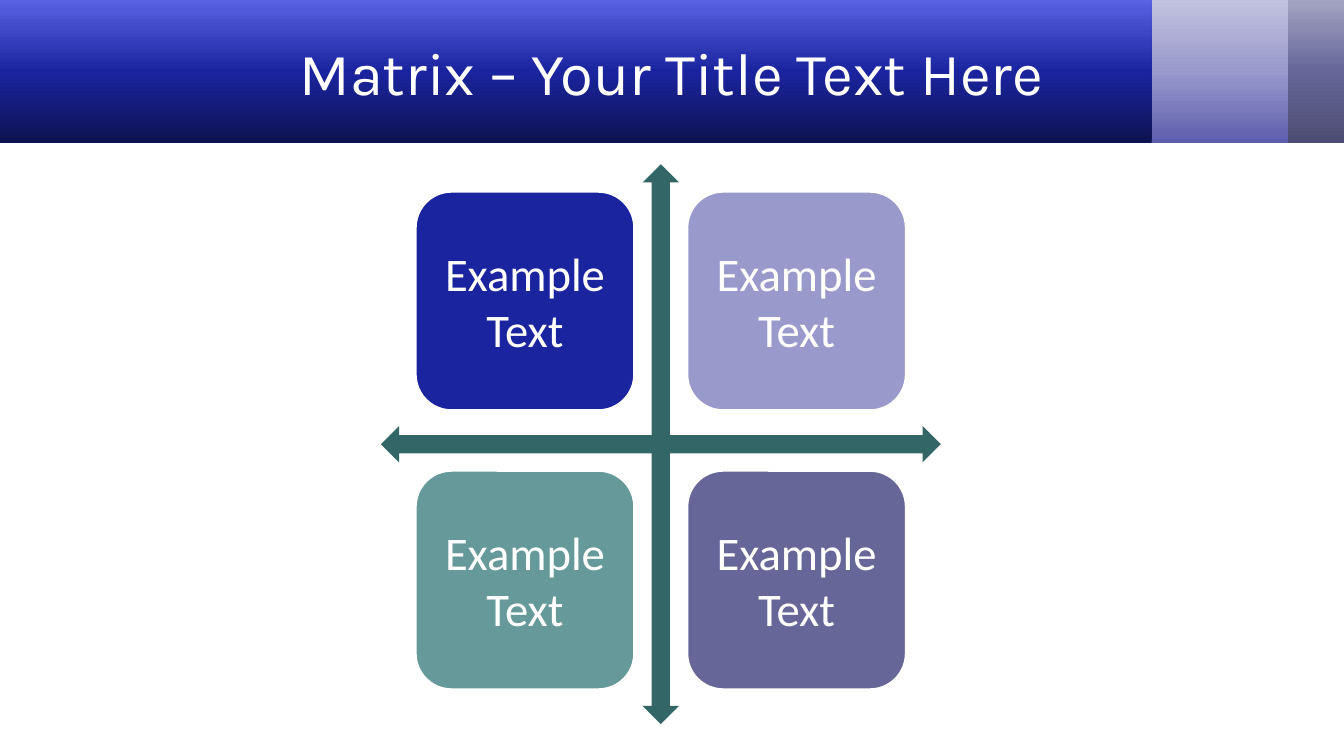
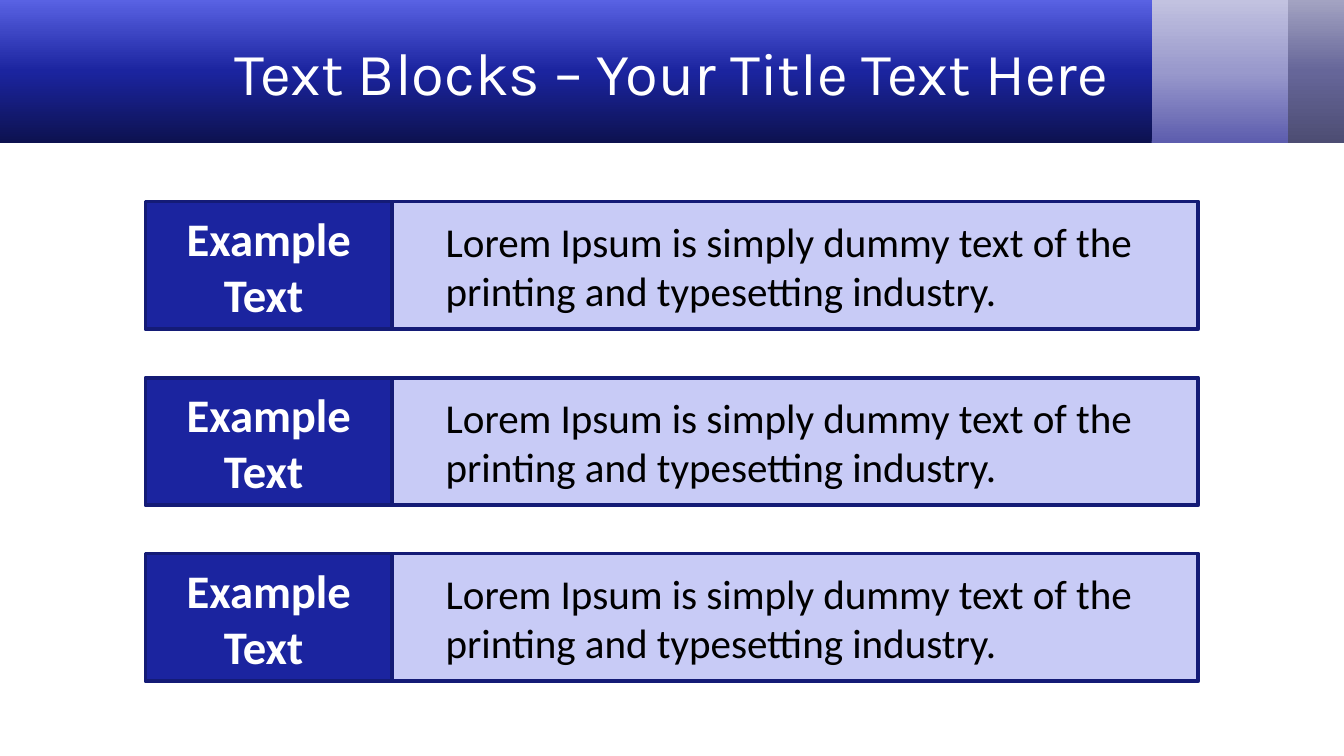
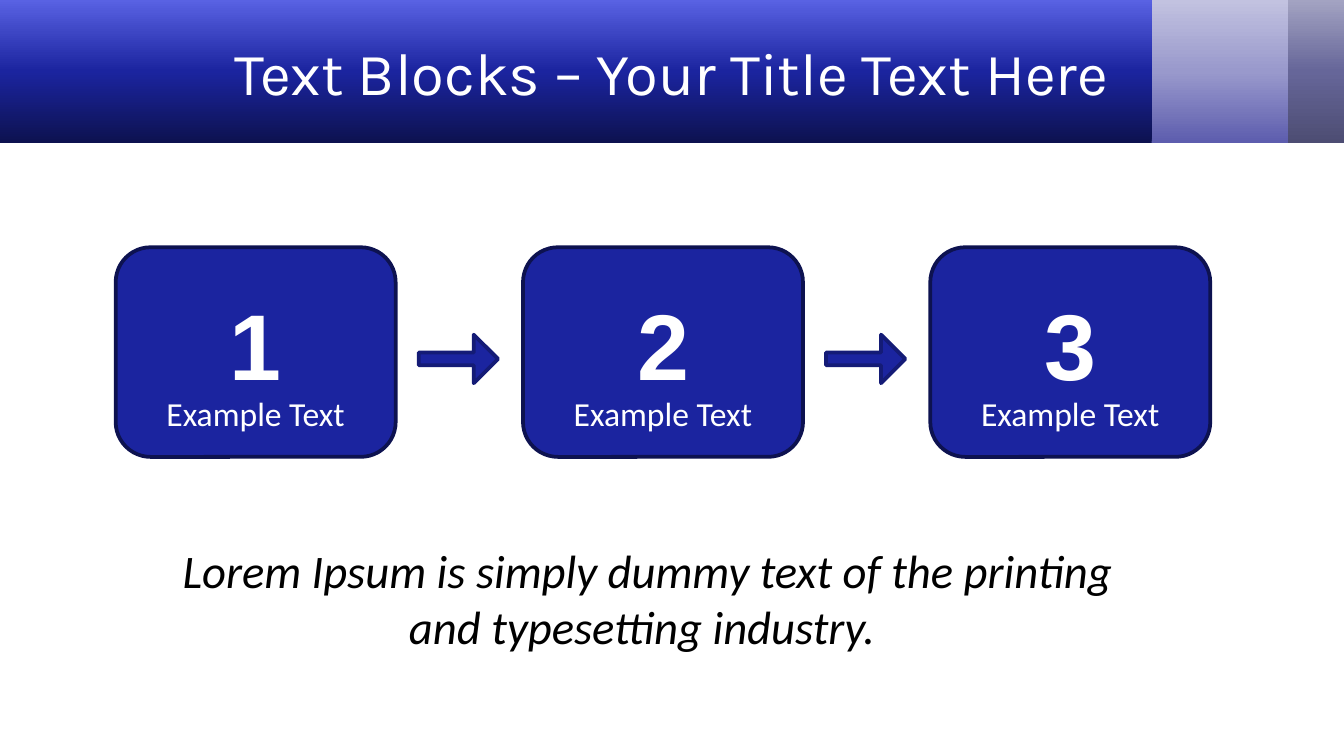
from copy import deepcopy
from dataclasses import dataclass, field

from pptx import Presentation
from pptx.dml.color import RGBColor
from pptx.enum.shapes import MSO_SHAPE as Preset
from pptx.enum.text import MSO_ANCHOR as Anchor, PP_ALIGN as Align
from pptx.oxml.ns import qn
from pptx.util import Pt


@dataclass(frozen=True)
class Box:
    left: float
    top: float
    width: float
    height: float

    def inner(self, left, top, width, height):
        """Return a box whose corner is given relative to this one."""
        return Box(self.left + left, self.top + top, width, height)

    def lengths(self):
        return [Pt(n) for n in (self.left, self.top, self.width, self.height)]


@dataclass(frozen=True)
class TextStyle:
    size: float
    color: str = "FFFFFF"
    font: str = "Calibri"
    bold: bool = False
    italic: bool = False
    align: Align = Align.CENTER


@dataclass(frozen=True)
class Theme:
    blue: str = "1B249F"
    navy: str = "141B76"
    midnight: str = "0D1250"
    pale: str = "C8CBF6"
    lavender: str = "9999CC"
    violet: str = "666699"
    teal: str = "669999"
    dark_teal: str = "336666"
    white: str = "FFFFFF"
    line_width: float = 2
    # Band gradients run from the bottom colour to the top colour.
    blue_band: tuple = ("0D1250", "1B249F", "5962E3")
    lavender_band: tuple = ("5D5DAE", "9999CC", "C2C2E0")
    violet_band: tuple = ("4D4D73", "666699", "A3A3C2")
    title: TextStyle = field(default=TextStyle(32, font="Karla"))
    tile: TextStyle = field(default=TextStyle(25))
    label: TextStyle = field(default=TextStyle(25, bold=True))
    body: TextStyle = field(default=TextStyle(22, "000000", align=Align.LEFT))
    step: TextStyle = field(default=TextStyle(18))
    number: TextStyle = field(default=TextStyle(50, font="Arial", bold=True))
    caption: TextStyle = field(default=TextStyle(25, "000000", italic=True))


THEME = Theme()
LOREM = "Lorem Ipsum is simply dummy text of the printing and typesetting industry."


def write(shape, text, style, anchor=Anchor.MIDDLE):
    frame = shape.text_frame
    frame.word_wrap = True
    frame.vertical_anchor = anchor
    frame.text = text
    para = frame.paragraphs[0]
    para.alignment = style.align
    for span in para.runs:
        span.font.name = style.font
        span.font.size = Pt(style.size)
        span.font.bold = style.bold
        span.font.italic = style.italic
        span.font.color.rgb = RGBColor.from_string(style.color)


def add_text(page, box, text, style, anchor=Anchor.TOP):
    write(page.shapes.add_textbox(*box.lengths()), text, style, anchor)


def add_preset(page, preset, box, fill=None, line=None):
    shape = page.shapes.add_shape(preset, *box.lengths())
    shape.shadow.inherit = False
    if fill:
        shape.fill.solid()
        shape.fill.fore_color.rgb = RGBColor.from_string(fill)
    if line:
        shape.line.color.rgb = RGBColor.from_string(line)
        shape.line.width = Pt(THEME.line_width)
    else:
        shape.line.fill.background()
    return shape


def add_band(page, box, colors):
    band = add_preset(page, Preset.RECTANGLE, box)
    band.fill.gradient()
    band.fill.gradient_angle = 90
    stop_list = band._element.spPr.find(".//" + qn("a:gsLst"))
    stop_list.append(deepcopy(stop_list[0]))
    for stop, color, position in zip(band.fill.gradient_stops, colors, (0, 0.5, 1)):
        stop.color.rgb = RGBColor.from_string(color)
        stop.position = position


def add_header(page, box, title):
    for left, width, colors in (
        (679, 41, THEME.violet_band),
        (614, 76, THEME.lavender_band),
        (0, 617, THEME.blue_band),
    ):
        add_band(page, box.inner(left, 0, width, box.height), colors)
    add_text(page, box.inner(36, 4.5, 648, 67.5), title, THEME.title, Anchor.MIDDLE)


def add_matrix(page, box):
    """Place four tiles around a cross of two double arrows."""
    side, column_step, row_step = 118, 145.5, 149.5
    left = (box.width - column_step - side) / 2
    top = (box.height - row_step - side) / 2 - 2
    fills = (THEME.blue, THEME.lavender, THEME.teal, THEME.violet)
    for index, fill in enumerate(fills):
        row, column = divmod(index, 2)
        place = box.inner(left + column * column_step, top + row * row_step, side, side)
        tile = add_preset(page, Preset.ROUNDED_RECTANGLE, place, fill, THEME.white)
        write(tile, "Example Text", THEME.tile)
    thickness = 19.5
    axis = box.inner(0, (box.height - thickness) / 2, box.width, thickness)
    for rotation in (90, 0):
        arrow = add_preset(page, Preset.LEFT_RIGHT_ARROW, axis, THEME.dark_teal)
        arrow.rotation = rotation


def add_text_blocks(page, box, count=3):
    label_width, height = 132, 68.4
    step = (box.height - height) / (count - 1)
    for row in range(count):
        top = row * step
        body_box = box.inner(label_width, top, box.width - label_width, height)
        body = add_preset(page, Preset.RECTANGLE, body_box, THEME.pale, THEME.navy)
        frame = body.text_frame
        frame.margin_left = frame.margin_right = Pt(28.8)
        frame.margin_top = frame.margin_bottom = Pt(7.2)
        write(body, LOREM, THEME.body)
        label_box = box.inner(0, top, label_width, height)
        label = add_preset(page, Preset.RECTANGLE, label_box, THEME.blue, THEME.navy)
        write(label, "Example Text ", THEME.label)


def add_step(page, box, number):
    card = add_preset(page, Preset.ROUNDED_RECTANGLE, box, THEME.blue, THEME.midnight)
    card.text_frame.margin_bottom = Pt(7)
    write(card, "Example Text", THEME.step, Anchor.BOTTOM)
    number_width = 58
    number_box = box.inner((box.width - number_width) / 2, 18, number_width, 67.7)
    add_text(page, number_box, str(number), THEME.number)


def add_steps(page, box, count=3):
    """Place numbered cards in a row, with an arrow in each gap."""
    card_width = 150
    step = (box.width - card_width) / (count - 1)
    for index in range(count):
        left = index * step
        add_step(page, box.inner(left, 0, card_width, box.height), index + 1)
        if index < count - 1:
            place = box.inner(left + card_width + 12.3, 46.8, 42.5, 26)
            arrow = add_preset(page, Preset.RIGHT_ARROW, place, THEME.blue, THEME.navy)
            arrow.adjustments[0] = 0.26


def add_page(deck, title):
    page = deck.slides.add_slide(deck.slide_layouts[6])
    add_header(page, Box(0, 0, 720, 76.5), title)
    return page


def main():
    deck = Presentation()
    deck.slide_width, deck.slide_height = Pt(720), Pt(405)

    add_matrix(add_page(deck, "Matrix – Your Title Text Here"), Box(204, 88, 300, 300))

    blocks_title = "Text Blocks – Your Title Text Here"
    add_text_blocks(add_page(deck, blocks_title), Box(78, 108, 564, 257))

    steps_page = add_page(deck, blocks_title)
    add_steps(steps_page, Box(62, 132.5, 586.4, 112.3))
    add_text(steps_page, Box(85.7, 286.6, 522, 67.7), LOREM + " ", THEME.caption)

    deck.save("out.pptx")


if __name__ == "__main__":
    main()
